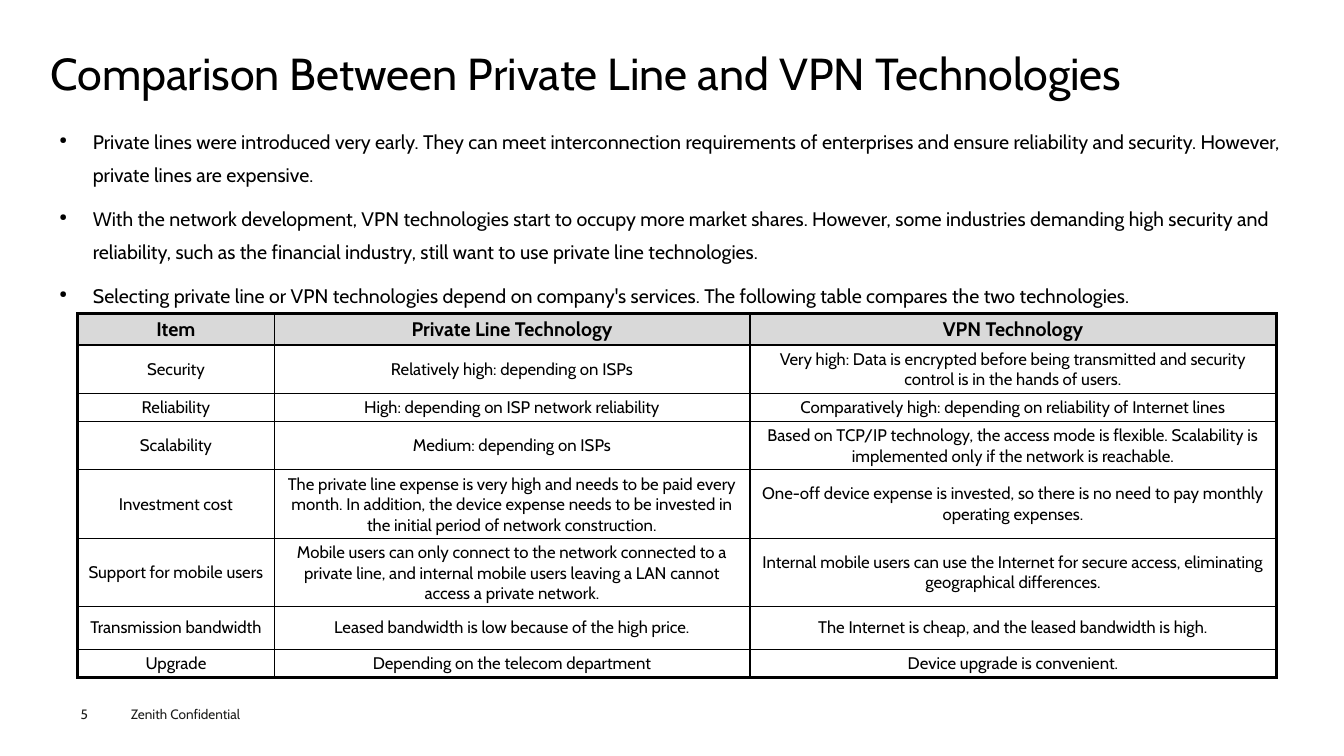
"""Build a slide that compares private line and VPN technologies."""
from dataclasses import dataclass

from lxml import etree
from pptx import Presentation
from pptx import util as u
from pptx.dml.color import RGBColor
from pptx.enum import text
from pptx.oxml import ns

FONT = "Cabin"
BLACK = RGBColor(0x00, 0x00, 0x00)
FOOTER_GREY = RGBColor(0x1D, 0x1D, 0x1B)
HEADER_GREY = RGBColor(0xD9, 0xD9, 0xD9)
OUTER_LINE = 2.25
INNER_LINE = 1


@dataclass(frozen=True)
class Area:
    left: float
    top: float
    width: float
    height: float

    def lengths(self) -> tuple:
        return tuple(u.Cm(n) for n in (self.left, self.top, self.width, self.height))


@dataclass(frozen=True)
class FooterItem:
    wording: str
    area: Area
    inset_x: float
    inset_y: float


@dataclass(frozen=True)
class Row:
    height: float
    cells: tuple[str, str, str]


TITLE = "Comparison Between Private Line and VPN Technologies"
TITLE_AREA = Area(1.27, 1.24, 31.37, 1.37)
BODY_AREA = Area(1.27, 2.92, 31.37, 13.54)
TABLE_AREA = Area(1.96, 7.9, 30.2, 9.17)
COLUMN_WIDTHS = (4.95, 11.99, 13.26)
FOOTER_ITEMS = (
    FooterItem("Zenith Confidential", Area(3.05, 17.65, 4.06, 0.69), 0.25, 0.13),
    FooterItem("5", Area(2.03, 17.78, 1.4, 0.41), 0, 0),
)
POINTS = (
    "Private lines were introduced very early. They can meet interconnection requirements of "
    "enterprises and ensure reliability and security. However, private lines are expensive.",
    "With the network development, VPN technologies start to occupy more market shares. However, "
    "some industries demanding high security and reliability, such as the financial industry, "
    "still want to use private line technologies.",
    "Selecting private line or VPN technologies depend on company's services. The following "
    "table compares the two technologies.",
)
ROWS = (
    Row(0.69, ("Item", "Private Line Technology", "VPN Technology")),
    Row(1.07, ("Security", "Relatively high: depending on ISPs",
               "Very high: Data is encrypted before being transmitted and security control is "
               "in the hands of users.")),
    Row(0.64, ("Reliability", "High: depending on ISP network reliability",
               "Comparatively high: depending on reliability of Internet lines")),
    Row(1.07, ("Scalability", "Medium: depending on ISPs",
               "Based on TCP/IP technology, the access mode is flexible. Scalability is "
               "implemented only if the network is reachable.")),
    Row(1.52, ("Investment cost",
               "The private line expense is very high and needs to be paid every month. In "
               "addition, the device expense needs to be invested in the initial period of "
               "network construction.",
               "One-off device expense is invested, so there is no need to pay monthly "
               "operating expenses.")),
    Row(1.52, ("Support for mobile users",
               "Mobile users can only connect to the network connected to a private line, and "
               "internal mobile users leaving a LAN cannot access a private network.",
               "Internal mobile users can use the Internet for secure access, eliminating "
               "geographical differences.")),
    Row(1.07, ("Transmission bandwidth", "Leased bandwidth is low because of the high price.",
               "The Internet is cheap, and the leased bandwidth is high.")),
    Row(0.64, ("Upgrade", "Depending on the telecom department",
               "Device upgrade is convenient.")),
)


def set_font(para, size: float, color: RGBColor = BLACK, bold: bool = False) -> None:
    font = para.font
    font.name, font.size, font.bold = FONT, u.Pt(size), bold
    font.color.rgb = color


def set_insets(holder, x: float, y: float) -> None:
    holder.margin_left = holder.margin_right = u.Cm(x)
    holder.margin_top = holder.margin_bottom = u.Cm(y)


def add_title(page) -> None:
    box = page.shapes.title
    box.left, box.top, box.width, box.height = TITLE_AREA.lengths()
    frame = box.text_frame
    frame.text = TITLE
    frame.auto_size = text.MSO_AUTO_SIZE.NONE
    frame.vertical_anchor = text.MSO_ANCHOR.MIDDLE
    set_insets(frame, 0, 0)
    para = frame.paragraphs[0]
    para.alignment = text.PP_ALIGN.LEFT
    para.line_spacing = 0.9
    set_font(para, 32)


def add_text_box(page, area: Area, wording: str, inset_x: float, inset_y: float):
    frame = page.shapes.add_textbox(*area.lengths()).text_frame
    frame.word_wrap = True
    set_insets(frame, inset_x, inset_y)
    frame.text = wording
    return frame


def add_bullet(para) -> None:
    props = para._p.get_or_add_pPr()
    props.set("marL", str(u.Cm(0.84)))
    props.set("indent", str(-u.Cm(0.84)))
    size = etree.Element(ns.qn("a:buSzPct"), val="50000")
    mark = etree.Element(ns.qn("a:buChar"), char="●")
    place = props.index(props.find(ns.qn("a:defRPr")))
    props.insert(place, size)
    props.insert(place + 1, mark)


def add_points(page) -> None:
    frame = add_text_box(page, BODY_AREA, "\n".join(POINTS), 0.23, 0.11)
    for para in frame.paragraphs:
        para.line_spacing = 1.4
        para.space_before = u.Pt(7.9)
        set_font(para, 14)
        add_bullet(para)


def set_borders(cell, outer_sides: dict[str, bool]) -> None:
    props = cell._tc.get_or_add_tcPr()
    for side, is_outer in outer_sides.items():
        width = u.Pt(OUTER_LINE if is_outer else INNER_LINE)
        line = etree.SubElement(props, ns.qn(f"a:ln{side}"), w=str(width))
        fill = etree.SubElement(line, ns.qn("a:solidFill"))
        etree.SubElement(fill, ns.qn("a:srgbClr"), val=str(BLACK))


def add_comparison(page) -> None:
    last_row, last_column = len(ROWS) - 1, len(COLUMN_WIDTHS) - 1
    table = page.shapes.add_table(len(ROWS), len(COLUMN_WIDTHS), *TABLE_AREA.lengths()).table
    table.horz_banding = table.first_row = False
    for column, width in zip(table.columns, COLUMN_WIDTHS):
        column.width = u.Cm(width)
    for i, row in enumerate(ROWS):
        table.rows[i].height = u.Cm(row.height)
        is_header = i == 0
        for j, wording in enumerate(row.cells):
            cell = table.cell(i, j)
            cell.text = wording
            cell.vertical_anchor = text.MSO_ANCHOR.MIDDLE
            set_insets(cell, 0.15, 0.1)
            set_borders(cell, {"L": j == 0, "R": j == last_column,
                               "T": is_header, "B": i == last_row})
            if is_header:
                cell.fill.solid()
                cell.fill.fore_color.rgb = HEADER_GREY
            else:
                cell.fill.background()
            para = cell.text_frame.paragraphs[0]
            para.alignment = text.PP_ALIGN.CENTER
            set_font(para, 14 if is_header else 12, bold=is_header)


def main() -> None:
    deck = Presentation()
    deck.slide_width, deck.slide_height = u.Cm(33.87), u.Cm(19.05)
    page = deck.slides.add_slide(deck.slide_layouts.get_by_name("Title Only"))
    for item in FOOTER_ITEMS:
        frame = add_text_box(page, item.area, item.wording, item.inset_x, item.inset_y)
        set_font(frame.paragraphs[0], 9.7, FOOTER_GREY)
    add_title(page)
    add_points(page)
    add_comparison(page)
    deck.save("out.pptx")


if __name__ == "__main__":
    main()
